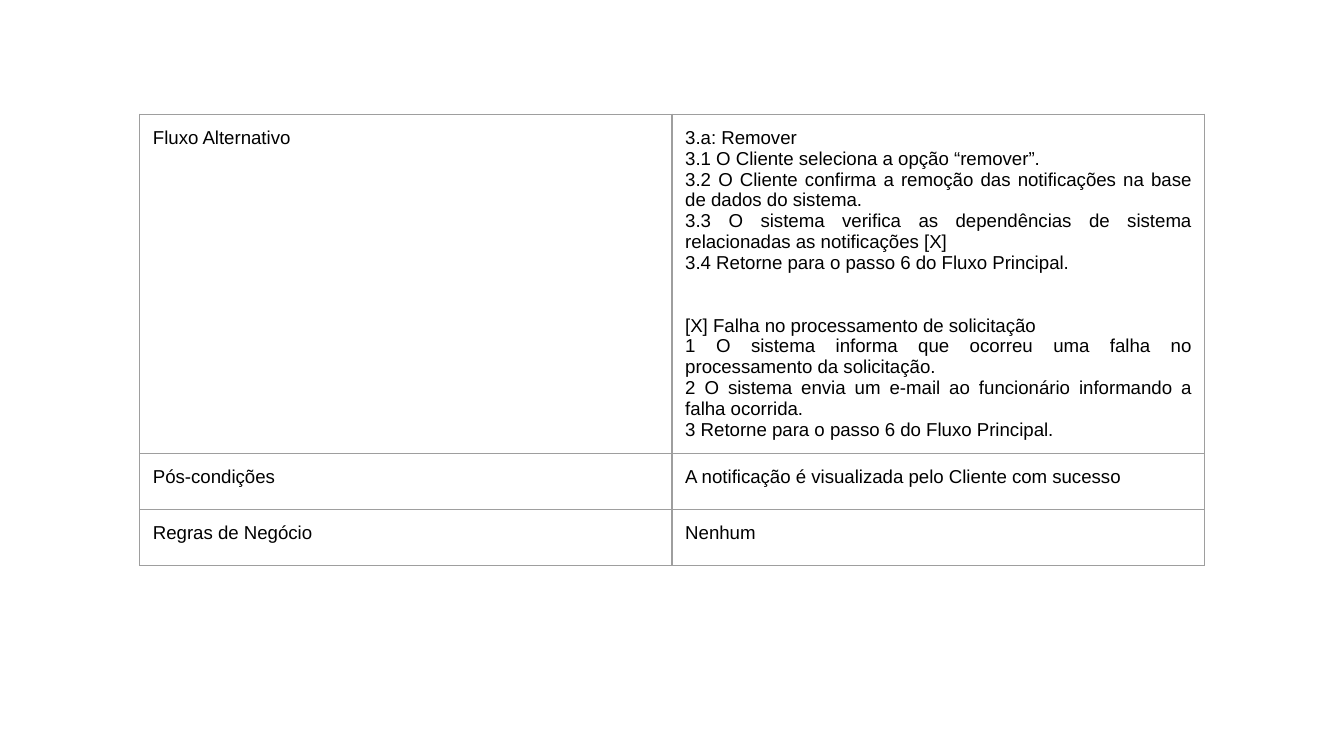
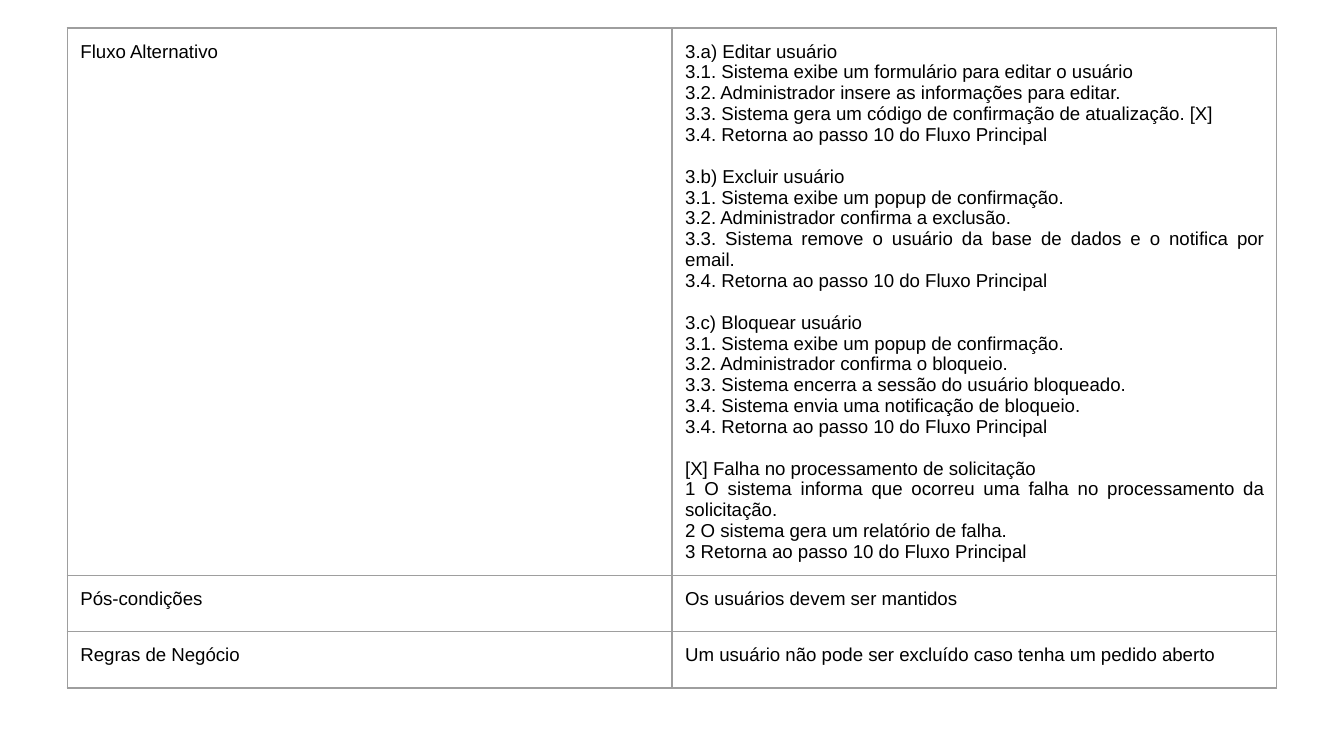
"""Build two slides with the alternative flows of two use cases."""
from lxml.etree import SubElement
from pptx import Presentation
from pptx.dml.color import RGBColor
from pptx.enum.text import PP_ALIGN as Align
from pptx.oxml.ns import qn
from pptx.util import Cm, Pt

BLACK, GREY = "000000", "9E9E9E"
SLIDE_WIDTH, SLIDE_HEIGHT = 25.4, 14.29
ROW_HEIGHT = 1.06
BLANK_LAYOUT = 6
LABELS = ["Fluxo Alternativo", "Pós-condições", "Regras de Negócio"]
FONT = {"name": "Arial", "size": Pt(10), "bold": False}
MARGINS = {f"margin_{side}": Cm(0.25) for side in ("left", "right", "top", "bottom")}
PLAIN_TABLE = {"first_row": False, "horz_banding": False}
FAILURE = "[X] Falha no processamento de solicitação"
FAILURE_NOTICE = "1 O sistema informa que ocorreu uma falha no processamento da solicitação."
RETURN_STEP = "Retorna ao passo 10 do Fluxo Principal"
POPUP_STEP = "3.1. Sistema exibe um popup de confirmação."

NOTIFICATION_CASE = {
    "top": 2.16,
    "column_width": 10.06,
    "group_gap": 22.4,
    "contents": [
        [
            [
                "3.a: Remover",
                "3.1 O Cliente seleciona a opção “remover”.",
                "3.2 O Cliente confirma a remoção das notificações na base de dados do sistema.",
                "3.3 O sistema verifica as dependências de sistema relacionadas as notificações [X]",
                "3.4 Retorne para o passo 6 do Fluxo Principal.",
            ],
            [
                FAILURE,
                FAILURE_NOTICE,
                "2 O sistema envia um e-mail ao funcionário informando a falha ocorrida.",
                "3 Retorne para o passo 6 do Fluxo Principal.",
            ],
        ],
        [["A notificação é visualizada pelo Cliente com sucesso"]],
        [["Nenhum"]],
    ],
}

USER_CASE = {
    "top": 0.53,
    "column_width": 11.43,
    "group_gap": 11.2,
    "contents": [
        [
            [
                "3.a) Editar usuário",
                "3.1. Sistema exibe um formulário para editar o usuário",
                "3.2. Administrador insere as informações para editar.",
                "3.3. Sistema gera um código de confirmação de atualização. [X]",
                f"3.4. {RETURN_STEP}",
            ],
            [
                "3.b) Excluir usuário",
                POPUP_STEP,
                "3.2. Administrador confirma a exclusão.",
                "3.3. Sistema remove o usuário da base de dados e o notifica por email.",
                f"3.4. {RETURN_STEP}",
            ],
            [
                "3.c) Bloquear usuário",
                POPUP_STEP,
                "3.2. Administrador confirma o bloqueio.",
                "3.3. Sistema encerra a sessão do usuário bloqueado.",
                "3.4. Sistema envia uma notificação de bloqueio.",
                f"3.4. {RETURN_STEP}",
            ],
            [
                FAILURE,
                FAILURE_NOTICE,
                "2 O sistema gera um relatório de falha.",
                f"3 {RETURN_STEP}",
            ],
        ],
        [["Os usuários devem ser mantidos"]],
        [["Um usuário não pode ser excluído caso tenha um pedido aberto"]],
    ],
}


def color(value):
    """Turn a hex string into a colour."""
    return RGBColor.from_string(value)


def apply_format(target, values):
    """Set each attribute of the target from a dict."""
    for name, value in values.items():
        setattr(target, name, value)


def add_borders(cell):
    """Draw a thin grey line on the four sides of a cell."""
    properties = cell._tc.get_or_add_tcPr()
    for side in ("lnL", "lnR", "lnT", "lnB"):
        line = SubElement(properties, qn(f"a:{side}"), w=str(Pt(0.75)))
        fill = SubElement(line, qn("a:solidFill"))
        SubElement(fill, qn("a:srgbClr"), val=GREY)


def write_groups(cell, groups, alignment, group_gap):
    """Write groups of paragraphs with a gap before each later group."""
    frame = cell.text_frame
    frame.text = "\n".join(line for group in groups for line in group)
    starts = [index == 0 for group in groups for index in range(len(group))]
    for number, (paragraph, starts_group) in enumerate(zip(frame.paragraphs, starts)):
        gap = Pt(group_gap) if number and starts_group else Pt(0)
        apply_format(paragraph, {"alignment": alignment, "space_before": gap})
        for run in paragraph.runs:
            apply_format(run.font, FONT)
            run.font.color.rgb = color(BLACK)


def fill_cell(cell, groups, alignment, group_gap):
    """Format one cell and write its text."""
    apply_format(cell, MARGINS)
    add_borders(cell)
    cell.fill.background()
    write_groups(cell, groups, alignment, group_gap)


def add_use_case(presentation, top, column_width, group_gap, contents):
    """Add a slide with a centred table of labels and contents."""
    slide = presentation.slides.add_slide(presentation.slide_layouts[BLANK_LAYOUT])
    width = 2 * column_width
    table = slide.shapes.add_table(
        len(LABELS), 2, Cm((SLIDE_WIDTH - width) / 2), Cm(top),
        Cm(width), Cm(ROW_HEIGHT * len(LABELS)),
    ).table
    apply_format(table, PLAIN_TABLE)
    for row, label, groups in zip(table.rows, LABELS, contents):
        label_cell, content_cell = row.cells
        fill_cell(label_cell, [[label]], Align.LEFT, group_gap)
        fill_cell(content_cell, groups, Align.JUSTIFY, group_gap)


def main():
    """Build and save the presentation."""
    presentation = Presentation()
    size = {"slide_width": Cm(SLIDE_WIDTH), "slide_height": Cm(SLIDE_HEIGHT)}
    apply_format(presentation, size)
    for use_case in (NOTIFICATION_CASE, USER_CASE):
        add_use_case(presentation, **use_case)
    presentation.save("out.pptx")


if __name__ == "__main__":
    main()
